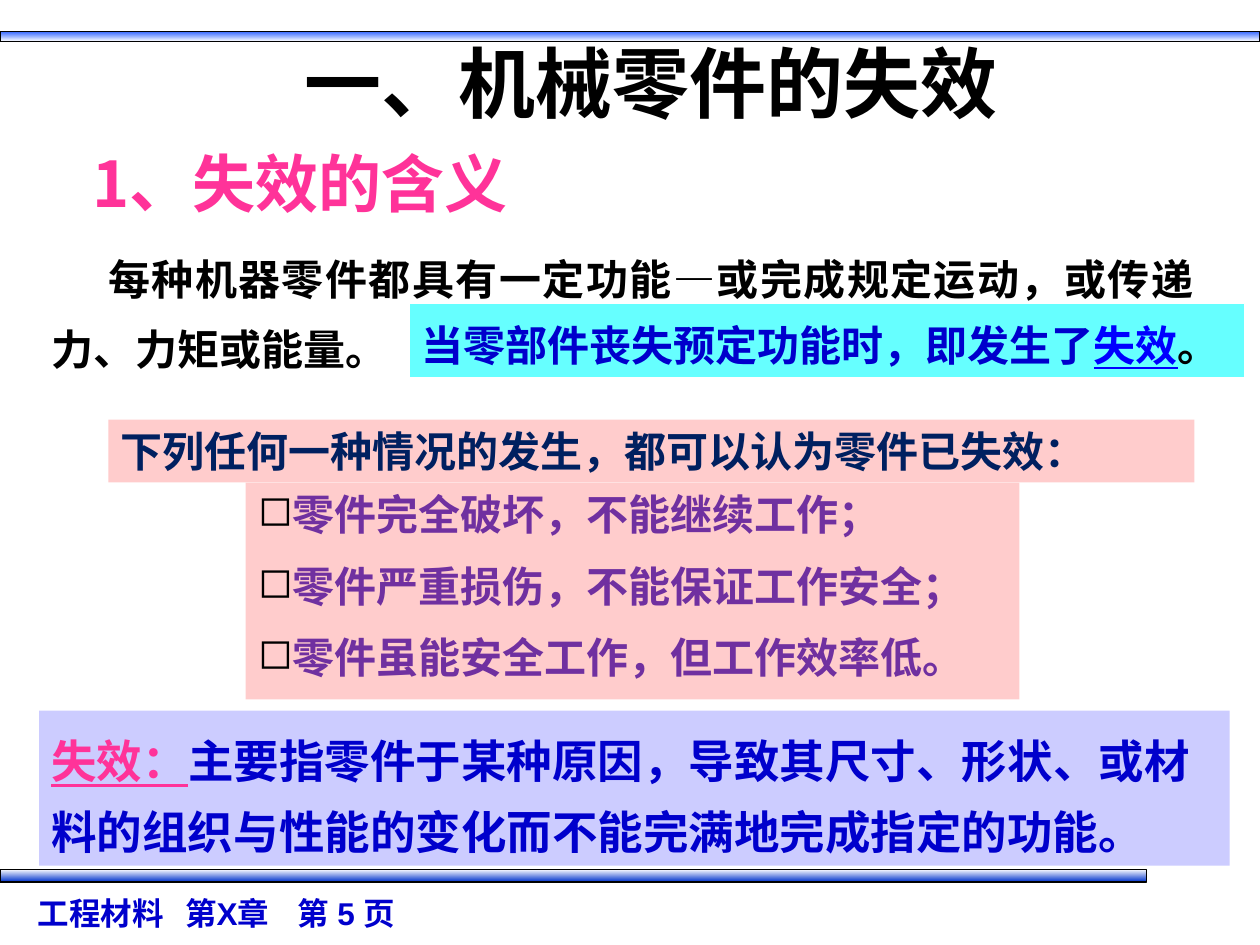
import pptx
import pptx.util
import pptx.dml.color
import pptx.enum.shapes
import pptx.enum.text
import pptx.oxml.ns
from lxml import etree

Inches = pptx.util.Inches
Pt = pptx.util.Pt
ALIGN = pptx.enum.text.PP_ALIGN
SANS = "Noto Sans CJK SC"

BARS = [
    ((0, 0.25, 10, 0.08), ("3366FF", "FFFFFF")),
    ((0, 6.9, 9.1, 0.1), ("FFFFFF", "0033CC")),
]

BLOCKS = [
    dict(at=(0.2, 7.05, 6.38, 0.4), size=18, color="0000CC", font="Arial",
         tabs=(1.17, 2.06), lines=[["工程材料\t第X章\t第 5 页"]]),
    dict(at=(1.64, 0.23, 7.06, 0.83), size=44, color="000000",
         font="Noto Sans CJK JP", align=ALIGN.CENTER,
         lines=[["一、机械零件的失效"]]),
    dict(at=(0.31, 5.64, 9.45, 1.23), size=26, color="0000CC",
         fill="CCCCFF", spacing=1.3,
         lines=[[("失效：", "FF3399"),
                 "主要指零件于某种原因，导致其尺寸、形状、或材料的组织与性能的变化而不能完满地完成指定的功能。"]]),
    dict(at=(0.31, 1.8, 9.26, 1.23), size=24, color="000000",
         align=ALIGN.JUSTIFY, spacing=1.4, indent=0.45,
         lines=[["每种机器零件都具有一定功能—或完成规定运动，或传递力、力矩或能量。"]]),
    dict(at=(0.86, 3.33, 8.62, 0.5), size=24, color="002060", fill="FFCCCC",
         lines=[["下列任何一种情况的发生，都可以认为零件已失效："]]),
    dict(at=(1.95, 3.83, 6.14, 1.72), size=24, color="7030A0",
         fill="FFCCCC", bullet="◻",
         lines=[["零件完全破坏，不能继续工作；"],
                ["零件严重损伤，不能保证工作安全；"],
                ["零件虽能安全工作，但工作效率低。"]]),
    dict(at=(3.25, 2.41, 6.63, 0.59), size=24, color="0000CC",
         fill="66FFFF", line="FFFFFF", spacing=1.2, wrap=False,
         lines=[["当零部件丧失预定功能时，即发生了", ("失效", "0000FF"),
                 ("。", "000000", False)]]),
    dict(at=(0.27, 1.1, 4.22, 0.7), size=36, color="FF3399",
         align=ALIGN.CENTER, middle=True, lines=[["1、失效的含义"]]),
]


def rgb(value):
    return pptx.dml.color.RGBColor.from_string(value)


def add_child(parent, tag, **attributes):
    return etree.SubElement(parent, pptx.oxml.ns.qn(tag), attributes)


def add_rectangle(page, at):
    box = page.shapes.add_shape(pptx.enum.shapes.MSO_SHAPE.RECTANGLE,
                                *map(Inches, at))
    box.shadow.inherit = False
    return box


def add_bar(page, at, colors):
    bar = add_rectangle(page, at)
    bar.fill.gradient()
    bar.fill.gradient_angle = 270
    for stop, color, position in zip(bar.fill.gradient_stops, colors, (0, 1)):
        stop.color.rgb = rgb(color)
        stop.position = position
    bar.line.color.rgb = rgb("000000")
    bar.line.width = Pt(0.75)


def add_box(page, block):
    if "fill" not in block:
        return page.shapes.add_textbox(*map(Inches, block["at"]))
    box = add_rectangle(page, block["at"])
    box.fill.solid()
    box.fill.fore_color.rgb = rgb(block["fill"])
    if "line" in block:
        box.line.color.rgb = rgb(block["line"])
        box.line.width = Pt(0.75)
    else:
        box.line.fill.background()
    return box


def format_paragraph(para, block, first):
    para.alignment = block.get("align", ALIGN.LEFT)
    if "spacing" in block:
        para.line_spacing = block["spacing"]
    if not first:
        para.space_before = Pt(block["size"] / 2)
    properties = para._p.get_or_add_pPr()
    if "indent" in block:
        properties.set("indent", str(Inches(block["indent"])))
    if "bullet" in block:
        properties.set("marL", "0")
        properties.set("indent", "0")
        color = add_child(properties, "a:buClr")
        add_child(color, "a:srgbClr", val="000000")
        add_child(properties, "a:buChar", char=block["bullet"])
    if "tabs" in block:
        stops = add_child(properties, "a:tabLst")
        for position in block["tabs"]:
            add_child(stops, "a:tab", pos=str(Inches(position)), algn="l")
    name = block.get("font", SANS)
    para.font.size = Pt(block["size"])
    para.font.bold = True
    para.font.color.rgb = rgb(block["color"])
    para.font.name = name
    add_child(properties.find(pptx.oxml.ns.qn("a:defRPr")), "a:ea",
              typeface=name)


def add_span(para, piece):
    span = para.add_run()
    if isinstance(piece, str):
        span.text = piece
        return
    text, color, *underline = piece
    span.text = text
    span.font.color.rgb = rgb(color)
    span.font.underline = underline[0] if underline else True


def add_block(page, block):
    frame = add_box(page, block).text_frame
    frame.word_wrap = block.get("wrap", True)
    anchor = pptx.enum.text.MSO_ANCHOR
    frame.vertical_anchor = anchor.MIDDLE if block.get("middle") else anchor.TOP
    for number, pieces in enumerate(block["lines"]):
        para = frame.add_paragraph() if number else frame.paragraphs[0]
        format_paragraph(para, block, number == 0)
        for piece in pieces:
            add_span(para, piece)


def main():
    deck = pptx.Presentation()
    deck.slide_width, deck.slide_height = Inches(10), Inches(7.5)
    page = deck.slides.add_slide(deck.slide_layouts[6])
    for at, colors in BARS:
        add_bar(page, at, colors)
    for block in BLOCKS:
        add_block(page, block)
    deck.save("out.pptx")


if __name__ == "__main__":
    main()
